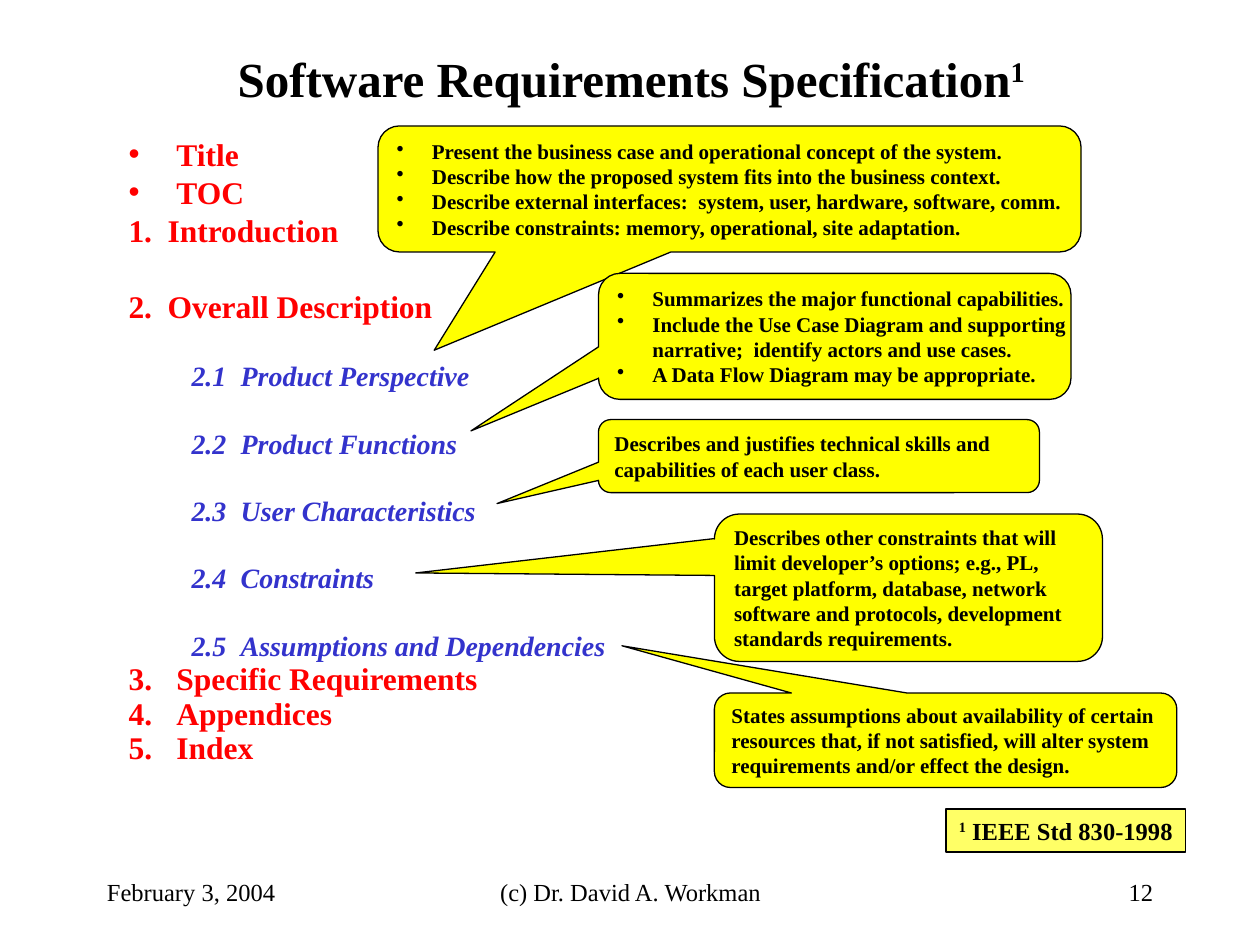
from lxml import etree
from pptx import Presentation
from pptx.dml.color import RGBColor
from pptx.enum import shapes, text
from pptx.oxml.ns import qn
from pptx.util import Inches, Pt

FONT = "Times New Roman"
BLACK = RGBColor(0x00, 0x00, 0x00)
RED = RGBColor(0xFF, 0x00, 0x00)
BLUE = RGBColor(0x33, 0x33, 0xCC)
YELLOW = RGBColor(0xFF, 0xFF, 0x00)
PALE_YELLOW = RGBColor(0xFF, 0xFF, 0x66)

BULLET = ("buChar", {"char": "•"})
FROM_THREE = ("buAutoNum", {"type": "arabicPeriod", "startAt": "3"})
NO_MARK = ("buNone", {})

# text, mark, line spacing
OUTLINE = [
    ("Title", BULLET, 0.8),
    ("TOC", BULLET, 0.8),
    ("1.\tIntroduction", NO_MARK, 0.8),
    ("2.\tOverall Description", NO_MARK, 1.8),
    ("2.1\tProduct Perspective", NO_MARK, 1.8),
    ("2.2\tProduct Functions", NO_MARK, 1.8),
    ("2.3\tUser Characteristics", NO_MARK, 1.8),
    ("2.4\tConstraints", NO_MARK, 1.8),
    ("2.5\tAssumptions and Dependencies", NO_MARK, 1.8),
    ("Specific Requirements", FROM_THREE, 0.7),
    ("Appendices", FROM_THREE, 0.7),
    ("Index", FROM_THREE, 0.7),
]

# box, pointer tip, bulleted, paragraphs as lists of lines
CALLOUTS = [
    ((3, 1, 5.58, 1), (-0.42, 1.28), True, [
        ["Present the business case and operational concept of the system."],
        ["Describe how the proposed system fits into the business context."],
        ["Describe external interfaces:  system, user, hardware, software, comm."],
        ["Describe constraints: memory, operational, site adaptation."]]),
    ((4.75, 3.33, 3.5, 0.58), (-0.73, 0.65), False, [
        ["Describes and justifies technical skills and",
         "capabilities of each user class."]]),
    ((5.67, 4.08, 3.08, 1.17), (-1.27, -0.1), False, [
        ["Describes other constraints that will",
         "limit developer’s options; e.g., PL,",
         "target platform, database, network",
         "software and protocols, development",
         "standards requirements."]]),
    ((5.67, 5.5, 3.67, 0.75), (-0.7, -1), False, [
        ["States assumptions about availability of certain",
         "resources that, if not satisfied, will alter system",
         "requirements and/or effect the design."]]),
    ((4.75, 2.17, 3.75, 1), (-0.77, 0.75), True, [
        ["Summarizes the major functional capabilities."],
        ["Include the Use Case Diagram and supporting",
         "narrative;  identify actors and use cases."],
        ["A Data Flow Diagram may be appropriate."]]),
]

FOOTERS = [
    ((0.75, 6.83, 2.08, 0.5), "February 3, 2004", text.PP_ALIGN.LEFT),
    ((3.42, 6.83, 3.17, 0.5), "(c) Dr. David A. Workman", text.PP_ALIGN.CENTER),
    ((7.17, 6.83, 2.08, 0.5), "12", text.PP_ALIGN.RIGHT),
]


def inches(box):
    return [Inches(length) for length in box]


def place(shape, box):
    shape.left, shape.top, shape.width, shape.height = inches(box)


def set_frame(frame, wrap=True, anchor=text.MSO_ANCHOR.MIDDLE):
    frame.auto_size = text.MSO_AUTO_SIZE.NONE
    frame.word_wrap = wrap
    frame.vertical_anchor = anchor


def paragraphs(frame, items):
    """Yield a paragraph of the frame for each item."""
    for index, item in enumerate(items):
        yield (frame.add_paragraph() if index else frame.paragraphs[0]), item


def add_span(para, words, size, color=BLACK, bold=True, italic=False, raised=False):
    span = para.add_run()
    span.text = words
    font = span.font
    font.name, font.size, font.bold, font.italic = FONT, Pt(size), bold, italic
    font.color.rgb = color
    if raised:
        span._r.get_or_add_rPr().set("baseline", "30000")


def set_mark(para, mark, color, margin, hang):
    """Give the paragraph a hanging indent and its bullet or number."""
    props = para._p.get_or_add_pPr()
    props.set("marL", str(Inches(margin)))
    props.set("indent", str(-Inches(hang)))
    tag, attributes = mark
    if mark != NO_MARK:
        tint = etree.SubElement(props, qn("a:buClr"))
        etree.SubElement(tint, qn("a:srgbClr"), val=str(color))
    etree.SubElement(props, qn("a:" + tag), attributes)


def add_block(page, kind, box, fill, line_width):
    block = page.shapes.add_shape(kind, *inches(box))
    block.shadow.inherit = False
    block.fill.solid()
    block.fill.fore_color.rgb = fill
    block.line.color.rgb = BLACK
    block.line.width = Pt(line_width)
    set_frame(block.text_frame, wrap=False)
    return block


def fill_title(page, box):
    title = page.shapes.title
    place(title, box)
    set_frame(title.text_frame)
    para = title.text_frame.paragraphs[0]
    para.alignment = text.PP_ALIGN.CENTER
    add_span(para, "Software Requirements Specification", 28)
    add_span(para, "1", 28, raised=True)


def fill_outline(page, box):
    body = page.placeholders[1]
    place(body, box)
    set_frame(body.text_frame, anchor=text.MSO_ANCHOR.TOP)
    for para, (words, mark, spacing) in paragraphs(body.text_frame, OUTLINE):
        nested = words.startswith("2.") and words[2].isdigit()
        color = BLUE if nested else RED
        if nested:
            para.level = 1
            margin, hang = 0.89, 0.39
        else:
            margin = hang = 0.31 if mark == NO_MARK else 0.38
        set_mark(para, mark, color, margin, hang)
        para.line_spacing = spacing
        first = words == OUTLINE[0][0]
        para.space_before = Pt(0 if first else 4 if nested else 4.5)
        add_span(para, words, 16 if nested else 18, color, italic=nested)


def add_callout(page, box, tip, bulleted, notes):
    callout = add_block(page, shapes.MSO_SHAPE.ROUNDED_RECTANGULAR_CALLOUT,
                        box, YELLOW, 0.75)
    for index, value in enumerate((*tip, 0.17)):
        callout.adjustments[index] = value
    for para, lines in paragraphs(callout.text_frame, notes):
        para.alignment = text.PP_ALIGN.LEFT
        if bulleted:
            set_mark(para, BULLET, BLACK, 0.28, 0.28)
        for index, line in enumerate(lines):
            if index:
                para.add_line_break()
            add_span(para, line, 12)


def add_footnote(page, box):
    note = add_block(page, shapes.MSO_SHAPE.RECTANGLE, box, PALE_YELLOW, 1)
    para = note.text_frame.paragraphs[0]
    para.alignment = text.PP_ALIGN.CENTER
    add_span(para, "1", 14, raised=True)
    add_span(para, " IEEE Std 830-1998", 14)


def add_footer(page, box, words, alignment):
    frame = page.shapes.add_textbox(*inches(box)).text_frame
    set_frame(frame)
    para = frame.paragraphs[0]
    para.alignment = alignment
    add_span(para, words, 14, bold=False)


def main():
    deck = Presentation()
    deck.slide_width, deck.slide_height = Inches(10), Inches(7.5)
    page = deck.slides.add_slide(deck.slide_layouts[1])
    fill_title(page, (0.76, 0.29, 8.5, 0.66))
    fill_outline(page, (0.92, 1.08, 8.5, 5.42))
    add_footnote(page, (7.51, 6.42, 1.9, 0.34))
    for callout in CALLOUTS:
        add_callout(page, *callout)
    for footer in FOOTERS:
        add_footer(page, *footer)
    deck.save("out.pptx")


if __name__ == "__main__":
    main()
